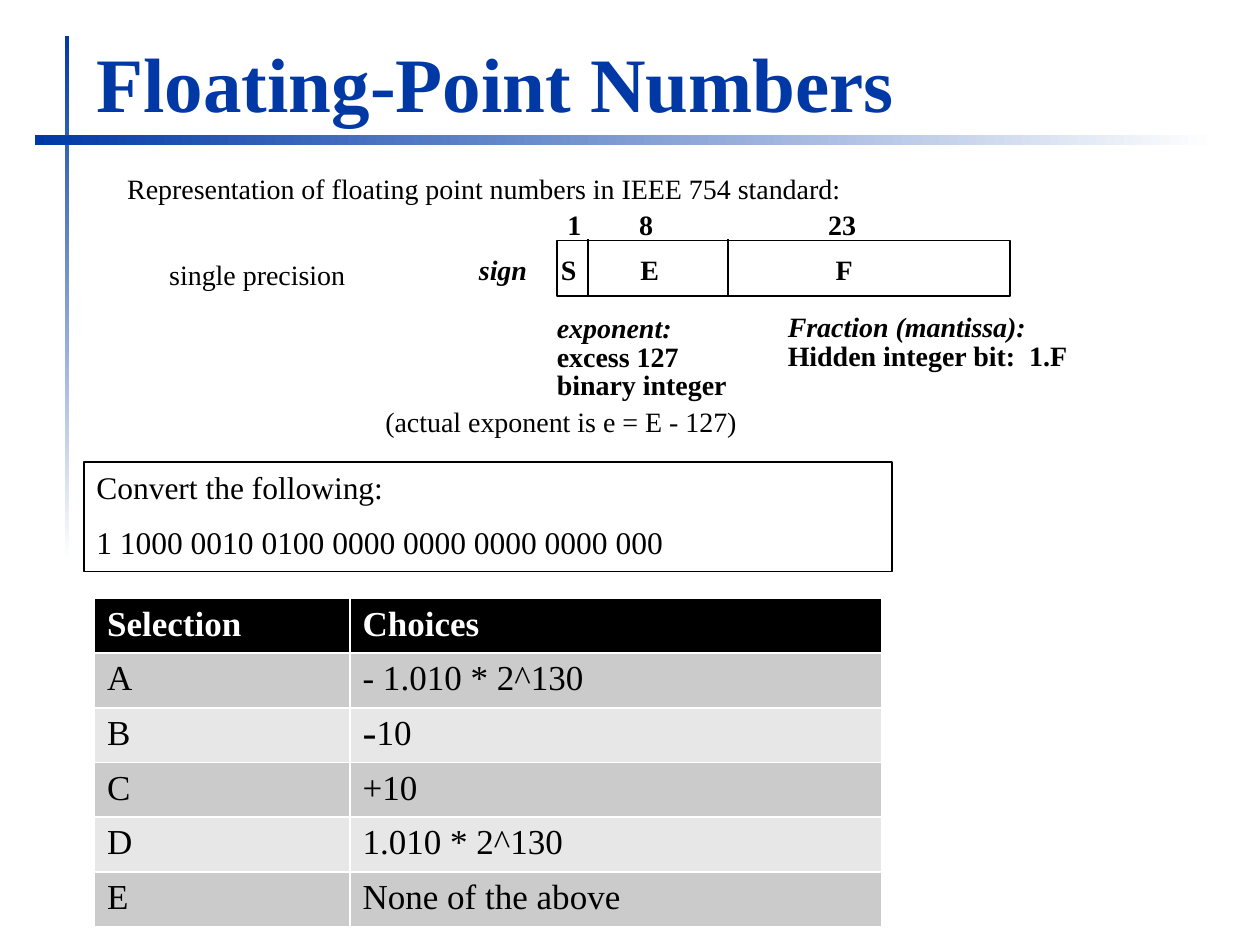
from collections import namedtuple

import pptx
import pptx.dml.color
import pptx.enum.shapes
import pptx.enum.text
import pptx.oxml.ns
import pptx.util
from lxml import etree

Pt = pptx.util.Pt
RGBColor = pptx.dml.color.RGBColor
RECTANGLE = pptx.enum.shapes.MSO_SHAPE.RECTANGLE
STRAIGHT = pptx.enum.shapes.MSO_CONNECTOR.STRAIGHT
ANCHOR = pptx.enum.text.MSO_ANCHOR
AUTO_SIZE = pptx.enum.text.MSO_AUTO_SIZE
LEFT = pptx.enum.text.PP_ALIGN.LEFT
qn = pptx.oxml.ns.qn

BLUE = RGBColor(0x00, 0x39, 0xA6)
BLACK = RGBColor(0x00, 0x00, 0x00)
WHITE = RGBColor(0xFF, 0xFF, 0xFF)
DARK_BAND = RGBColor(0xCB, 0xCB, 0xCB)
LIGHT_BAND = RGBColor(0xE7, 0xE7, 0xE7)
FONT = "Times New Roman"

Box = namedtuple("Box", "left top width height")

CHOICES = [
    ("Selection", "Choices"),
    ("A", "- 1.010 * 2^130"),
    ("B", "10"),
    ("C", "+10"),
    ("D", "1.010 * 2^130"),
    ("E", "None of the above"),
]
DASHED_ROW = 2


def in_points(box):
    return [Pt(length) for length in box]


def set_font(paragraph, size, color=BLACK, bold=False, italic=False):
    font = paragraph.font
    font.name, font.size = FONT, Pt(size)
    font.bold, font.italic = bold, italic
    font.color.rgb = color


def add_rectangle(slide, box):
    """Add an unfilled rectangle with a thin black outline."""
    rectangle = slide.shapes.add_shape(RECTANGLE, *in_points(box))
    rectangle.shadow.inherit = False
    rectangle.fill.background()
    rectangle.line.color.rgb = BLACK
    rectangle.line.width = Pt(1)
    return rectangle


def add_label(slide, box, lines, bold=True, italic_first=False):
    """Add a tight, unwrapped 16 pt label and return its paragraphs."""
    frame = slide.shapes.add_textbox(*in_points(box)).text_frame
    frame.word_wrap = False
    frame.auto_size = AUTO_SIZE.SHAPE_TO_FIT_TEXT
    frame.margin_left = frame.margin_right = Pt(5)
    frame.margin_top = frame.margin_bottom = Pt(2.5)
    frame.text = "\n".join(lines)
    for index, paragraph in enumerate(frame.paragraphs):
        paragraph.line_spacing = 0.85
        set_font(paragraph, 16, bold=bold, italic=italic_first and index == 0)
    return frame.paragraphs


def add_fading_bar(slide, box, angle):
    bar = add_rectangle(slide, box)
    bar.line.fill.background()
    bar.fill.gradient()
    bar.fill.gradient_angle = angle
    for stop, color in zip(bar.fill.gradient_stops, (BLUE, WHITE)):
        stop.color.rgb = color


def place_title(slide, box):
    title = slide.shapes.title
    title.left, title.top, title.width, title.height = in_points(box)
    frame = title.text_frame
    frame.text = "Floating-Point Numbers"
    frame.auto_size = AUTO_SIZE.NONE
    frame.vertical_anchor = ANCHOR.BOTTOM
    frame.paragraphs[0].alignment = LEFT
    set_font(frame.paragraphs[0], 44, BLUE, bold=True)


def add_introduction(slide, box):
    precision = add_label(slide, box, [
        "Representation of floating point numbers in IEEE 754 standard:",
        "single precision"], bold=False)[1]
    precision.space_before = Pt(33)
    precision._p.get_or_add_pPr().set("marL", str(Pt(24)))


def add_number_format(slide, box):
    """Draw the sign, exponent and fraction fields with their notes."""
    left, top = box.left, box.top
    register = Box(left + 103, top + 18.5, 259.2, 31.7)
    add_rectangle(slide, register)
    for offset in (18, 98):
        x = Pt(register.left + offset)
        divider = slide.shapes.add_connector(
            STRAIGHT, x, Pt(register.top - 0.7),
            x, Pt(register.top + register.height + 0.7))
        divider.line.color.rgb = BLACK
        divider.line.width = Pt(1)
        etree.SubElement(divider._element.spPr, qn("a:effectLst"))

    fields = [("1", 104, 18, "S", 100.4, 18.7),
              ("8", 145, 18, "E", 145.7, 20.9),
              ("23", 253, 26, "F", 257.3, 20.2)]
    for bits, bits_x, bits_width, field, field_x, field_width in fields:
        add_label(slide, Box(left + bits_x, top, bits_width, 20.2), [bits])
        add_label(slide, Box(left + field_x, top + 25.5, field_width, 20.2), [field])

    add_label(slide, Box(left + 53.5, top + 26, 39, 20.2), ["sign"],
              italic_first=True)
    add_label(slide, Box(left + 98, top + 59, 107.3, 53.3),
              ["exponent:", "excess 127", "binary integer"], italic_first=True)
    add_label(slide, Box(left + 230, top + 58.5, 172, 36.7),
              ["Fraction (mantissa):", "Hidden integer bit:  1.F"],
              italic_first=True)
    add_label(slide, Box(left, top + 112.5, 211.7, 20.2),
              ["(actual exponent is e = E - 127)"], bold=False)


def add_question(slide, box):
    frame = add_rectangle(slide, box).text_frame
    frame.word_wrap = True
    frame.vertical_anchor = ANCHOR.TOP
    frame.text = ("Convert the following:\n"
                  "1 1000 0010 0100 0000 0000 0000 0000 000")
    for paragraph in frame.paragraphs:
        paragraph.alignment = LEFT
        set_font(paragraph, 18)
    frame.paragraphs[1].space_before = Pt(10)


def add_dash_bullet(paragraph):
    properties = paragraph._p.get_or_add_pPr()
    properties.set("marL", "0")
    properties.set("indent", "0")
    color = etree.SubElement(properties, qn("a:buClr"))
    etree.SubElement(color, qn("a:srgbClr")).set("val", str(BLACK))
    etree.SubElement(properties, qn("a:buSzPct")).set("val", "120000")
    etree.SubElement(properties, qn("a:buFont")).set("typeface", FONT)
    etree.SubElement(properties, qn("a:buChar")).set("char", "-")


def add_choices(slide, box):
    table = slide.shapes.add_table(len(CHOICES), 2, *in_points(box)).table
    selection_width = 146
    table.columns[0].width = Pt(selection_width)
    table.columns[1].width = Pt(box.width - selection_width)
    for row, texts in enumerate(CHOICES):
        header = row == 0
        band = BLACK if header else DARK_BAND if row % 2 else LIGHT_BAND
        for column, text in enumerate(texts):
            cell = table.cell(row, column)
            cell.fill.solid()
            cell.fill.fore_color.rgb = band
            cell.text = text
            paragraph = cell.text_frame.paragraphs[0]
            if (row, column) == (DASHED_ROW, 1):
                add_dash_bullet(paragraph)
            set_font(paragraph, 20, WHITE if header else BLACK, bold=header)


def main():
    deck = pptx.Presentation()
    deck.slide_width, deck.slide_height = Pt(720), Pt(540)
    slide = deck.slides.add_slide(deck.slide_layouts[5])
    add_fading_bar(slide, Box(37, 20.5, 2.5, 300), 270)
    add_fading_bar(slide, Box(19.8, 77, 675, 6), 0)
    place_title(slide, Box(48, 9.5, 612, 67))
    add_introduction(slide, Box(67.7, 98.2, 420, 70))
    add_number_format(slide, Box(215.2, 119, 402, 133))
    add_question(slide, Box(48, 264, 462, 62.6))
    add_choices(slide, Box(54, 342, 450, 187.2))
    deck.save("out.pptx")


if __name__ == "__main__":
    main()
